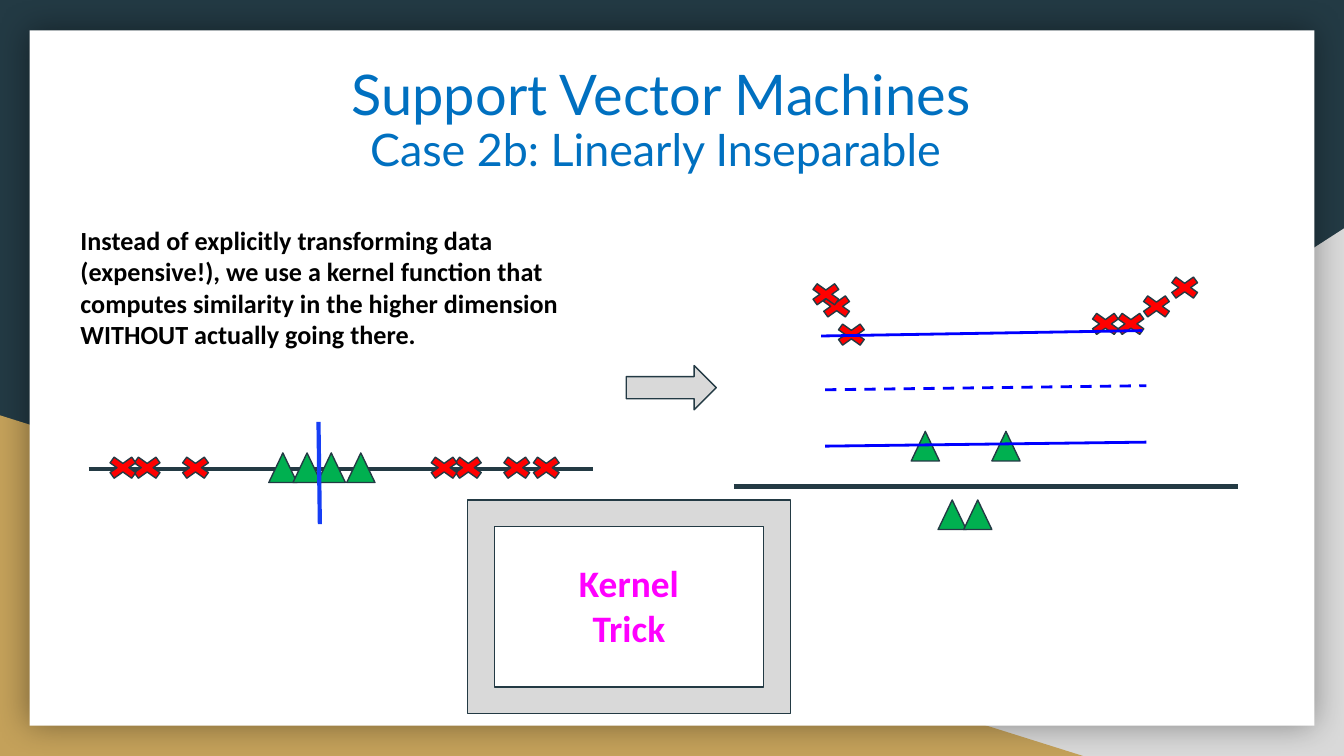
from lxml import etree
from pptx import Presentation
from pptx import util as u
from pptx.dml.color import RGBColor
from pptx.enum import dml, shapes, text
from pptx.oxml.ns import qn

COLS = 100  # square cells, a hundred across the slide
WIDE = 10
HIGH = WIDE * 9 / 16
DARK, GREY, GOLD, WHITE = "233A44", "D9D9D9", "C4A15A", "FFFFFF"
RED, GREEN, BLUE = "FF0000", "00B050", "0000FF"
KIND = shapes.MSO_SHAPE
ALIGN = text.PP_ALIGN


def cell(n):
    return u.Inches(n * WIDE / COLS)


def color(code):
    return RGBColor.from_string(code)


def shape(slide, kind, box, fill, line=None, adj=None):
    part = slide.shapes.add_shape(kind, *map(cell, box))
    part.shadow.inherit = False
    part.fill.solid()
    part.fill.fore_color.rgb = color(fill)
    if line:
        part.line.color.rgb = color(line)
        part.line.width = u.Pt(0.75)
    else:
        part.line.fill.background()
    if adj is not None:
        part.adjustments[0] = adj
    return part


def rule(slide, x1, y1, x2, y2, hue, width, dash=False):
    line = slide.shapes.add_connector(
        shapes.MSO_CONNECTOR.STRAIGHT, *map(cell, (x1, y1, x2, y2)))
    line.line.color.rgb = color(hue)
    line.line.width = u.Pt(width)
    if dash:
        line.line.dash_style = dml.MSO_LINE.DASH
    etree.SubElement(line._element.spPr, qn("a:effectLst"))


def write(slide, box, rows, sizes, font, hue, bold=False, align=ALIGN.LEFT,
          pad=0.1, space=None, anchor=text.MSO_ANCHOR.TOP, grow=True):
    frame = slide.shapes.add_textbox(*map(cell, box)).text_frame
    frame.word_wrap = True
    frame.vertical_anchor = anchor
    frame.margin_left = frame.margin_right = u.Inches(0.1)
    frame.margin_top = frame.margin_bottom = u.Inches(pad)
    fit = text.MSO_AUTO_SIZE
    frame.auto_size = fit.SHAPE_TO_FIT_TEXT if grow else fit.NONE
    for i, (row, size) in enumerate(zip(rows, sizes)):
        para = frame.add_paragraph() if i else frame.paragraphs[0]
        para.alignment = align
        para.line_spacing = space
        run = para.add_run()
        run.text = row
        run.font.size = u.Pt(size)
        run.font.name = font
        run.font.bold = bold
        run.font.color.rgb = color(hue)


def glow(part):
    """Soft dark shadow on all sides."""
    effect = part._element.spPr.find(qn("a:effectLst"))
    soft = etree.SubElement(effect, qn("a:outerShdw"), blurRad=str(u.Pt(18)),
                            dist="0", dir="0", algn="ctr", rotWithShape="0")
    hue = etree.SubElement(soft, qn("a:srgbClr"), val="000000")
    etree.SubElement(hue, qn("a:alpha"), val="40000")


def backdrop(slide, box):
    x, y, w, h = box
    slide.background.fill.solid()
    slide.background.fill.fore_color.rgb = color(DARK)
    # Corner wedges
    left, top = 39.2, 17
    right = shape(slide, KIND.RIGHT_TRIANGLE,
                  (x + left, y + top, w - left, h - top), GREY)
    right._element.spPr.xfrm.set("flipH", "1")
    top = 30.9
    shape(slide, KIND.RIGHT_TRIANGLE, (x, y + top, 80.6, h - top), GOLD)
    # White sheet
    glow(shape(slide, KIND.RECTANGLE,
               (x + 2.2, y + 2.25, w - 4.4, h - 4.5), WHITE))


def heading(slide, box):
    write(slide, box,
          ("Support Vector Machines", "Case 2b: Linearly Inseparable "),
          (30, 24), "Lato", "0070C0", align=ALIGN.CENTER, pad=0.05,
          space=0.9, anchor=text.MSO_ANCHOR.BOTTOM, grow=False)


def plot(slide, box, axis, crosses, peaks, cuts):
    """Axis, two classes of points, and the lines that part them."""
    x, y, w, h = box
    rule(slide, x, y + axis, x + w, y + axis, DARK, 2.25)
    for col, row in crosses:
        shape(slide, KIND.MATH_MULTIPLY, (x + col, y + row, 3.1, 2.2),
              RED, DARK, 0.235)
    for col, row in peaks:
        shape(slide, KIND.ISOSCELES_TRIANGLE, (x + col, y + row, 2.1, 2.2),
              GREEN, DARK)
    for x1, y1, x2, y2, *style in cuts:
        rule(slide, x + x1, y + y1, x + x2, y + y2, *style)


def trick(slide, box):
    x, y, w, h = box
    shape(slide, KIND.FRAME, box, GREY, DARK, 0.125)
    write(slide, (x + 0.05 * w, y + 0.22 * h, 0.9 * w, 0.55 * h),
          ("Kernel", "Trick"), (20, 20), "Calibri", "FF00FF", bold=True,
          align=ALIGN.CENTER)


def main():
    deck = Presentation()
    deck.slide_width, deck.slide_height = u.Inches(WIDE), u.Inches(HIGH)
    slide = deck.slides.add_slide(deck.slide_layouts[6])

    backdrop(slide, (0, 0, COLS, COLS * HIGH / WIDE))
    heading(slide, (12.5, 3.1, 73.4, 10.5))

    # Points on one axis
    level = 2.3
    plot(slide, (6.6, 31.4, 37.5, 7.6), 3.5,
         [(col, level) for col in (2.8, 1, 6.4, 26.7, 24.9, 30.3, 32.5)],
         [(col, level) for col in (13.4, 15.2, 17, 19.2)],
         [(17.1, 0, 17.2, 7.6, "163EF5", 2.25)])

    shape(slide, KIND.RIGHT_ARROW, (46.6, 27.2, 6.7, 3.3), GREY, DARK)

    # Points lifted to a higher dimension, with margins
    plot(slide, (54.6, 20.3, 37.5, 19.1), 15.9,
         [(6.1, 1.4), (5.3, 0.5), (7.2, 3.5), (28, 2.7), (26.1, 2.7),
          (29.9, 1.4), (32, 0)],
         [(13.2, 11.8), (15.2, 16.9), (17.1, 16.9), (19.2, 11.8)],
         [(6.8, 12.9, 30.7, 12.6, BLUE, 1.5),
          (6.5, 4.7, 30.4, 4.3, BLUE, 1.5),
          (6.8, 8.7, 30.7, 8.4, BLUE, 1.5, True)])

    trick(slide, (34.8, 37.2, 24, 15.9))

    # Explanation
    write(slide, (5, 15.7, 40.9, 11.4),
          ("Instead of explicitly transforming data (expensive!), we use a "
           "kernel function that computes similarity in the higher dimension "
           "WITHOUT actually going there.",),
          (14,), "Calibri", "000000", bold=True)

    deck.save("out.pptx")


if __name__ == "__main__":
    main()
